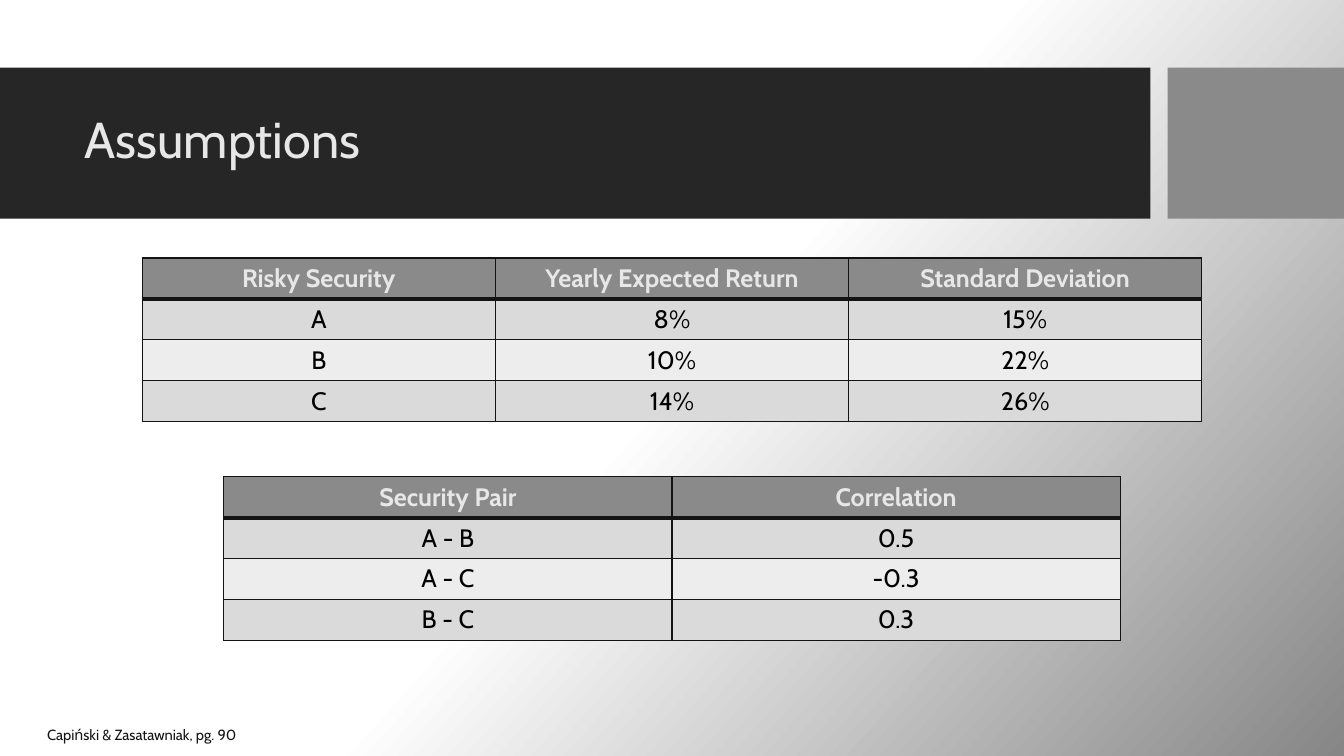
from copy import deepcopy
from dataclasses import dataclass

from lxml import etree
from pptx import Presentation
from pptx import util as u
from pptx.dml.color import RGBColor
from pptx.enum import shapes, text
from pptx.oxml import ns

COLORS = {
    "white": "FFFFFF",
    "shade": "868686",
    "band": "262626",
    "accent": "8A8A8A",
    "light": "E7E7E7",
    "ink": "131313",
    "black": "000000",
    "odd_row": "DADADA",
    "even_row": "EDEDED",
}
FONT = "Cabin"
ROW_HEIGHT = 0.405


@dataclass(frozen=True)
class Bar:
    left: float
    width: float
    color: str


@dataclass(frozen=True)
class Grid:
    left: float
    top: float
    width: float
    rows: tuple[tuple[str, ...], ...]


BARS = (Bar(0, 11.41, "band"), Bar(11.58, 1.75, "accent"))

GRIDS = (
    Grid(1.41, 2.56, 10.51, (
        ("Risky Security", "Yearly Expected Return", "Standard Deviation"),
        ("A", "8%", "15%"),
        ("B", "10%", "22%"),
        ("C", "14%", "26%"),
    )),
    Grid(2.22, 4.73, 8.89, (
        ("Security Pair", "Correlation"),
        ("A - B", "0.5"),
        ("A - C", "-0.3"),
        ("B - C", "0.3"),
    )),
)


def rgb(name: str) -> RGBColor:
    return RGBColor.from_string(COLORS[name])


def apply(target, values: dict) -> None:
    for name, value in values.items():
        setattr(target, name, value)


def write(para, words: str, size: float, color: str, bold: bool = False) -> None:
    span = para.add_run()
    span.text = words
    apply(span.font, {"name": FONT, "size": u.Pt(size), "bold": bold})
    span.font.color.rgb = rgb(color)


def paint_background(page) -> None:
    fill = page.background.fill
    fill.gradient()
    fill.gradient_angle = 318
    for stop, color in zip(fill.gradient_stops, ("white", "shade")):
        stop.color.rgb = rgb(color)
    first, last = fill.gradient_stops
    first.position, last.position = 0, 1
    stops = page.element.find(".//" + ns.qn("a:gsLst"))
    middle = deepcopy(stops[0])
    middle.set("pos", "50000")
    stops.insert(1, middle)


def draw_bar(page, bar: Bar) -> None:
    box = page.shapes.add_shape(
        shapes.MSO_SHAPE.RECTANGLE,
        u.Inches(bar.left), u.Inches(0.67), u.Inches(bar.width), u.Inches(1.5),
    )
    box.shadow.inherit = False
    box.fill.solid()
    box.fill.fore_color.rgb = rgb(bar.color)
    box.line.fill.background()


def draw_title(page, words: str) -> None:
    box = page.shapes.title
    box.element.getparent().append(box.element)
    apply(box, {
        "left": u.Inches(0.74), "top": u.Inches(0.82),
        "width": u.Inches(10.51), "height": u.Inches(1.18),
    })
    apply(box.text_frame, {
        "vertical_anchor": text.MSO_ANCHOR.MIDDLE,
        "auto_size": text.MSO_AUTO_SIZE.NONE,
        "word_wrap": True,
    })
    para = box.text_frame.paragraphs[0]
    apply(para, {"alignment": text.PP_ALIGN.LEFT, "line_spacing": 0.9})
    write(para, words, 36, "light")


def draw_borders(cell, row: int) -> None:
    widths = {"lnL": 1, "lnR": 1, "lnT": 3 if row == 1 else 1, "lnB": 3 if row == 0 else 1}
    properties = cell._tc.get_or_add_tcPr()
    for edge, width in widths.items():
        line = etree.SubElement(properties, ns.qn(f"a:{edge}"), w=str(u.Pt(width)))
        solid = etree.SubElement(line, ns.qn("a:solidFill"))
        etree.SubElement(solid, ns.qn("a:srgbClr"), val=COLORS["ink"])


def draw_grid(page, grid: Grid) -> None:
    columns = len(grid.rows[0])
    frame = page.shapes.add_table(
        len(grid.rows), columns, u.Inches(grid.left), u.Inches(grid.top),
        u.Inches(grid.width), u.Inches(ROW_HEIGHT * len(grid.rows)),
    )
    table = frame.table
    table.horz_banding = False
    for row, values in enumerate(grid.rows):
        header = row == 0
        fill = "accent" if header else "odd_row" if row % 2 else "even_row"
        for column, words in enumerate(values):
            cell = table.cell(row, column)
            draw_borders(cell, row)
            cell.fill.solid()
            cell.fill.fore_color.rgb = rgb(fill)
            para = cell.text_frame.paragraphs[0]
            para.alignment = text.PP_ALIGN.CENTER
            write(para, words, 18, "light" if header else "black", header)


def draw_citation(page, words: str) -> None:
    box = page.shapes.add_textbox(
        u.Inches(0.37), u.Inches(7.15), u.Inches(8.33), u.Inches(0.28)
    )
    apply(box.text_frame, {
        "word_wrap": True,
        "auto_size": text.MSO_AUTO_SIZE.SHAPE_TO_FIT_TEXT,
    })
    write(box.text_frame.paragraphs[0], words, 10.5, "ink")


def main() -> None:
    deck = Presentation()
    apply(deck, {"slide_width": u.Inches(13.33), "slide_height": u.Inches(7.5)})
    page = deck.slides.add_slide(deck.slide_layouts.get_by_name("Title Only"))
    paint_background(page)
    for bar in BARS:
        draw_bar(page, bar)
    draw_title(page, "Assumptions")
    for grid in GRIDS:
        draw_grid(page, grid)
    draw_citation(page, "Capiński & Zasatawniak, pg. 90")
    deck.save("out.pptx")


if __name__ == "__main__":
    main()
